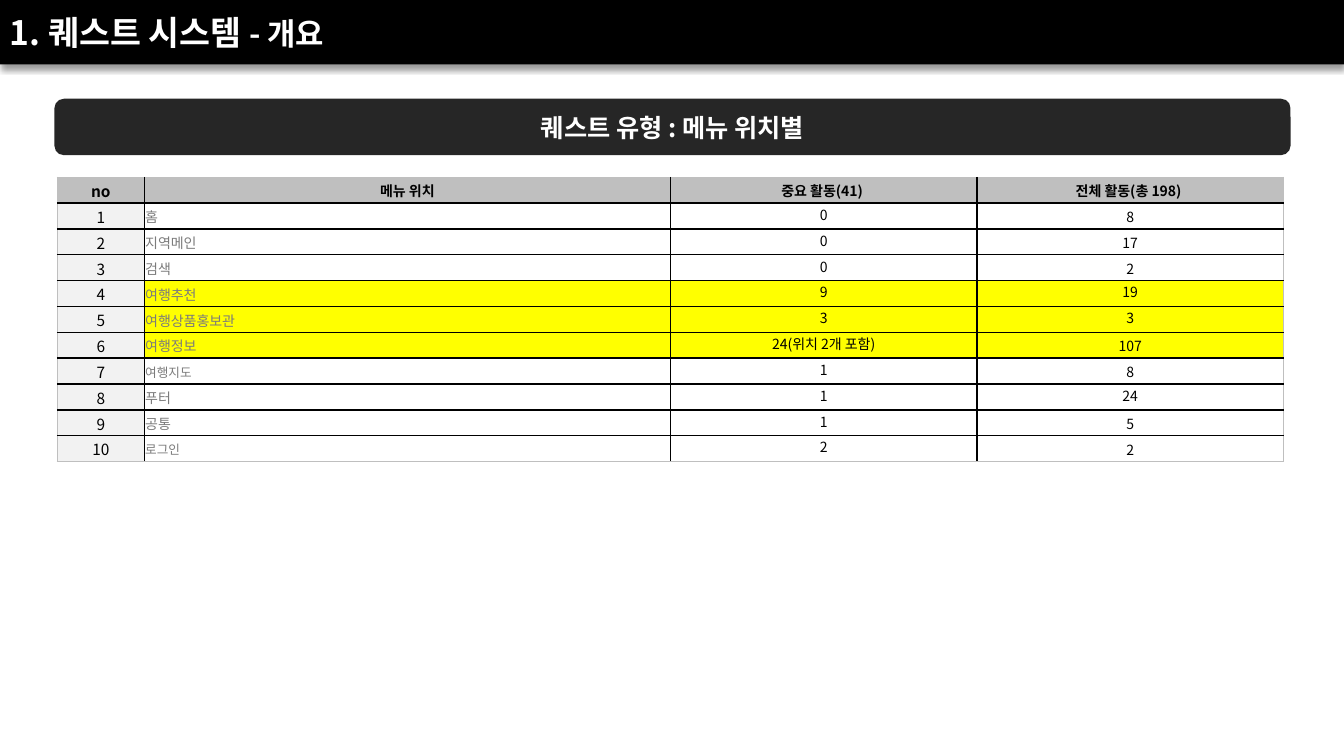
from dataclasses import dataclass
from lxml.etree import SubElement
from pptx import Presentation
from pptx.dml.color import RGBColor
from pptx.enum.shapes import MSO_SHAPE
from pptx.enum.text import MSO_ANCHOR, PP_ALIGN
from pptx.oxml.ns import qn
from pptx.util import Inches, Pt


@dataclass(frozen=True)
class Theme:
    black: str = "000000"
    white: str = "FFFFFF"
    banner: str = "262626"
    header: str = "BFBFBF"
    number: str = "F2F2F2"
    highlight: str = "FFFF00"
    menu: str = "7B7B7B"
    korean: str = "Noto Sans CJK KR"
    latin: str = "Arial"
    title_size: int = 24
    subtitle_size: int = 22
    banner_size: int = 18
    number_size: int = 11
    body_size: int = 10
    small_size: int = 9
    thin: float = 1
    thick: float = 1.5


THEME = Theme()
SLIDE_W, SLIDE_H = 13.33, 7.5
COLUMN_WIDTHS = (0.86, 5.22, 3.04, 3.04)
HEADINGS = ("no", "메뉴 위치", "중요 활동(41) ", "전체 활동(총 198) ")
MENUS = (
    ("홈", "0", "8"),
    ("지역메인", "0", "17"),
    ("검색", "0", "2"),
    ("여행추천", "9", "19"),
    ("여행상품홍보관", "3", "3"),
    ("여행정보", "24(위치 2개 포함)", "107"),
    ("여행지도", "1", "8"),
    ("푸터", "1", "24"),
    ("공통", "1", "5"),
    ("로그인", "2", "2"),
)
HIGHLIGHTED = (4, 5, 6)
SMALL_MENUS = (7, 10)
TOP_TOTALS = (4, 5, 8)


def add_run(paragraph, text, size, color, bold=False, font=THEME.korean):
    run = paragraph.add_run()
    run.text = text
    run.font.size = Pt(size)
    run.font.bold = bold
    run.font.color.rgb = RGBColor.from_string(color)
    run.font.name = font
    SubElement(run.font._element, qn("a:ea"), typeface=THEME.korean)


def add_block(slide, kind, box, color):
    block = slide.shapes.add_shape(kind, *map(Inches, box))
    block.shadow.inherit = False
    block.fill.solid()
    block.fill.fore_color.rgb = RGBColor.from_string(color)
    block.line.fill.background()
    return block


def add_title_bar(slide, box):
    left, top, width, height = box
    bar = add_block(slide, MSO_SHAPE.RECTANGLE, box, THEME.black)
    # Soft shadow below the bar
    effects = bar._element.spPr.find(qn("a:effectLst"))
    shadow = SubElement(effects, qn("a:outerShdw"), blurRad=str(Pt(4)), dist=str(Pt(3)),
                        dir="5400000", algn="t", rotWithShape="0")
    shade = SubElement(shadow, qn("a:srgbClr"), val=THEME.black)
    SubElement(shade, qn("a:alpha"), val="40000")
    # Title text
    title = slide.shapes.add_textbox(*map(Inches, (left, top, 5.1, height))).text_frame
    title.word_wrap = True
    title.vertical_anchor = MSO_ANCHOR.MIDDLE
    heading = title.paragraphs[0]
    add_run(heading, "1. 퀘스트 시스템 ", THEME.title_size, THEME.white, True)
    add_run(heading, "- 개요", THEME.subtitle_size, THEME.white, True)


def add_banner(slide, box):
    banner = add_block(slide, MSO_SHAPE.ROUNDED_RECTANGLE, box, THEME.banner)
    banner.text_frame.vertical_anchor = MSO_ANCHOR.MIDDLE
    label = banner.text_frame.paragraphs[0]
    label.alignment = PP_ALIGN.CENTER
    add_run(label, "퀘스트 유형 : 메뉴 위치별", THEME.banner_size, THEME.white, True)


def set_borders(cell, row, column):
    last_row, last_column = len(MENUS), len(COLUMN_WIDTHS) - 1
    outer = {"a:lnL": column == 0, "a:lnR": column == last_column,
             "a:lnT": row == 0, "a:lnB": row == last_row}
    thick = {"a:lnT": row in (1, 7), "a:lnB": row in (0, 6)}
    properties = cell._tc.get_or_add_tcPr()
    for position, (side, is_outer) in enumerate(outer.items()):
        width = THEME.thick if thick.get(side) else THEME.thin
        line = SubElement(properties, qn(side), w=str(Pt(width)))
        fill = SubElement(line, qn("a:solidFill"))
        SubElement(fill, qn("a:srgbClr"), val=THEME.header if is_outer else THEME.black)
        properties.remove(line)
        properties.insert(position, line)


def fill_cell(cell, row, column, text):
    cell.margin_left = cell.margin_right = cell.margin_top = Inches(0.01)
    cell.margin_bottom = 0
    # Background
    if row == 0:
        color = THEME.header
    elif column == 0:
        color = THEME.number
    else:
        color = THEME.highlight if row in HIGHLIGHTED else None
    if color:
        cell.fill.solid()
        cell.fill.fore_color.rgb = RGBColor.from_string(color)
    else:
        cell.fill.background()
    # Text
    is_menu = row > 0 and column == 1
    at_top = row > 0 and (column == 2 or (column == 3 and row in TOP_TOTALS))
    cell.vertical_anchor = MSO_ANCHOR.TOP if at_top else MSO_ANCHOR.MIDDLE
    paragraph = cell.text_frame.paragraphs[0]
    paragraph.alignment = PP_ALIGN.LEFT if is_menu else PP_ALIGN.CENTER
    size = THEME.number_size if column == 0 else THEME.body_size
    if is_menu and row in SMALL_MENUS:
        size = THEME.small_size
    font = THEME.latin if column == 1 and row != 5 else THEME.korean
    add_run(paragraph, text, size, THEME.menu if is_menu else THEME.black, row == 0, font)
    set_borders(cell, row, column)


def add_menu_table(slide, box):
    rows = [HEADINGS] + [(str(no), *menu) for no, menu in enumerate(MENUS, 1)]
    table = slide.shapes.add_table(len(rows), len(HEADINGS), *map(Inches, box)).table
    table.first_row = table.horz_banding = False
    for column, width in zip(table.columns, COLUMN_WIDTHS):
        column.width = Inches(width)
    for row, texts in enumerate(rows):
        table.rows[row].height = Inches(box[3] / len(rows))
        for column, text in enumerate(texts):
            fill_cell(table.cell(row, column), row, column, text)


def main():
    deck = Presentation()
    deck.slide_width, deck.slide_height = Inches(SLIDE_W), Inches(SLIDE_H)
    slide = deck.slides.add_slide(deck.slide_layouts[6])
    add_title_bar(slide, (0, 0, SLIDE_W, 0.64))
    add_banner(slide, (0.54, 0.98, 12.26, 0.56))
    add_menu_table(slide, (0.57, 1.76, sum(COLUMN_WIDTHS), 2.82))
    deck.save("out.pptx")


if __name__ == "__main__":
    main()
